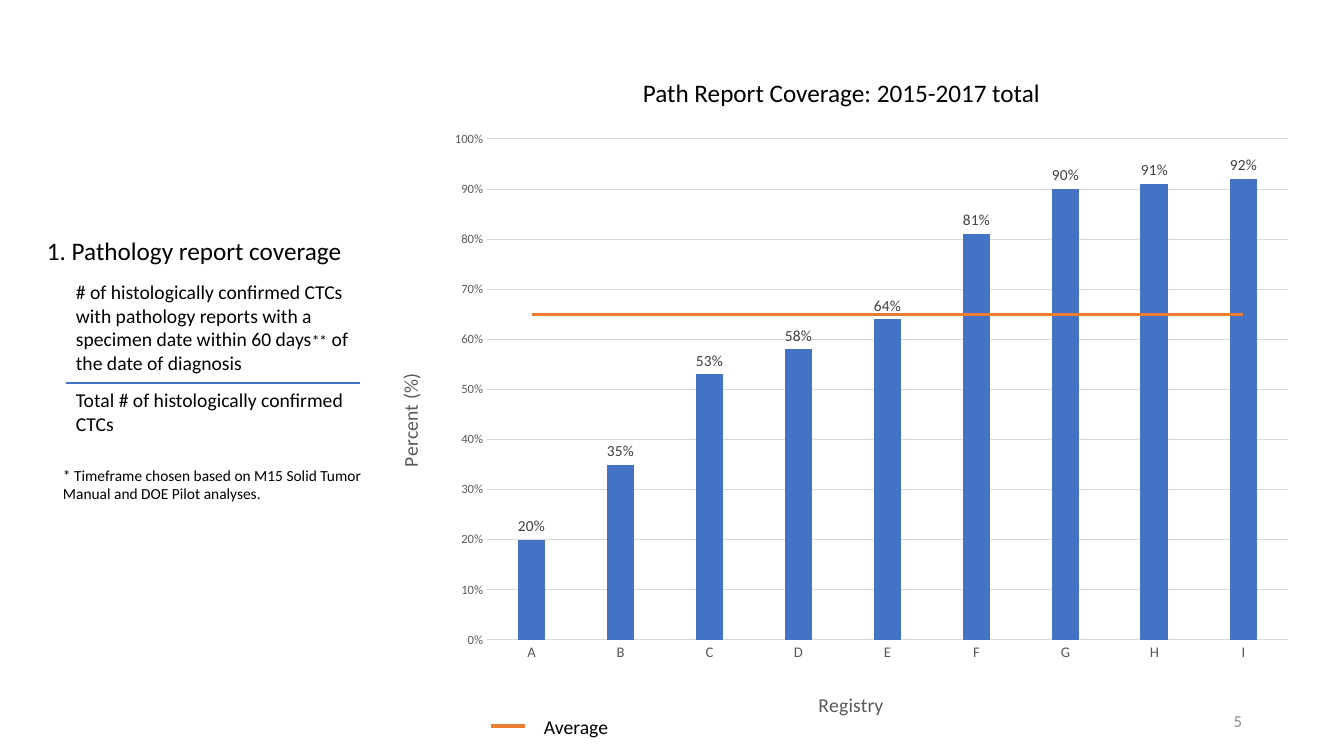
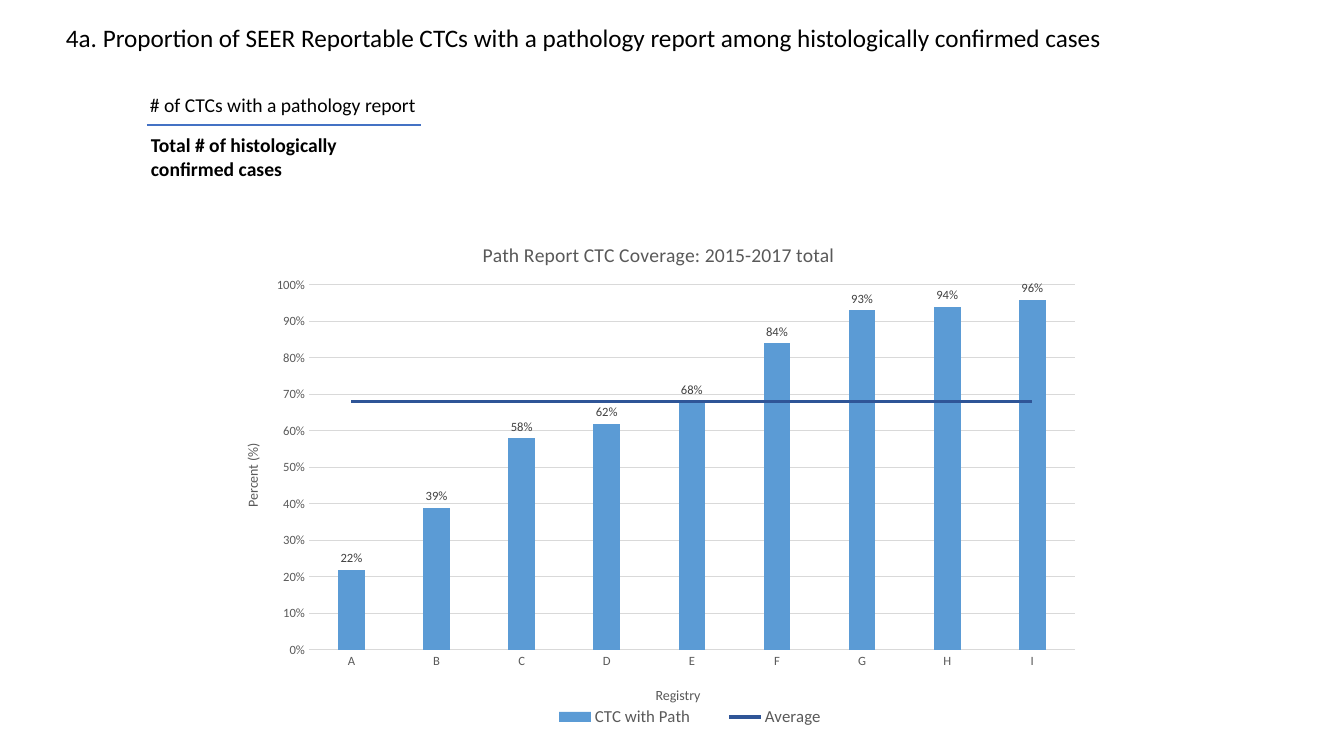
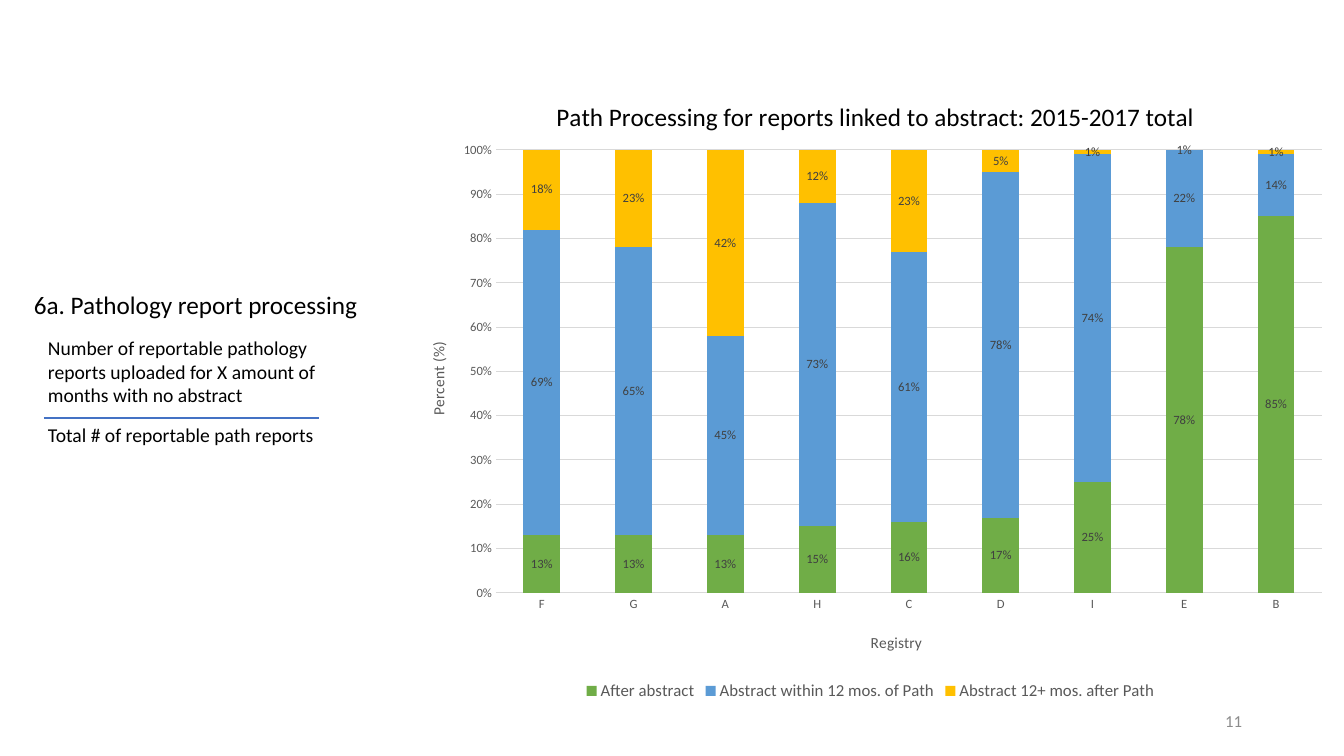
import pptx
import pptx.chart.data
import pptx.dml.color
import pptx.enum.chart
import pptx.enum.shapes
import pptx.enum.text
import pptx.oxml
import pptx.oxml.ns
import pptx.util

RGB = pptx.dml.color.RGBColor
BLACK = RGB(0x00, 0x00, 0x00)
DARK_GREY = RGB(0x40, 0x40, 0x40)
GREY = RGB(0x59, 0x59, 0x59)
PAGE_GREY = RGB(0x8C, 0x8C, 0x8C)
GRID_GREY = RGB(0xD9, 0xD9, 0xD9)
BLUE = RGB(0x44, 0x72, 0xC4)
SKY = RGB(0x5B, 0x9B, 0xD5)
NAVY = RGB(0x2F, 0x55, 0x97)
ORANGE = RGB(0xED, 0x7D, 0x31)
GREEN = RGB(0x70, 0xAD, 0x47)
GOLD = RGB(0xFF, 0xC0, 0x00)

FONT = "Calibri"
SLIDE_W, SLIDE_H = 1344, 756
SCALE = 12192000 / SLIDE_W
PERCENT = "0%"
CHART_TYPE = pptx.enum.chart.XL_CHART_TYPE
LABEL_POSITION = pptx.enum.chart.XL_LABEL_POSITION
ALIGN = pptx.enum.text.PP_ALIGN
ANCHOR = pptx.enum.text.MSO_ANCHOR
HEADING, BODY, NOTE = 18, 14, 11


def px(length):
    return pptx.util.Emu(round(length * SCALE))


def set_font(font, size, color=BLACK, bold=False):
    font.name = FONT
    font.size = pptx.util.Pt(size)
    font.color.rgb = color
    font.bold = bold


def set_line(line, color, width):
    line.color.rgb = color
    line.width = pptx.util.Pt(width)


# Text and rules

def add_text(slide, box, text, size, color=BLACK, bold=False, align=ALIGN.LEFT,
             anchor=ANCHOR.TOP):
    """Add one paragraph; text is a string or a list of (string, size) runs."""
    frame = slide.shapes.add_textbox(*map(px, box)).text_frame
    frame.word_wrap = True
    frame.vertical_anchor = anchor
    if anchor == ANCHOR.TOP:
        frame.auto_size = pptx.enum.text.MSO_AUTO_SIZE.SHAPE_TO_FIT_TEXT
    paragraph = frame.paragraphs[0]
    paragraph.alignment = align
    set_font(paragraph.font, size, color, bold)
    runs = [(text, size)] if isinstance(text, str) else text
    for words, run_size in runs:
        run = paragraph.add_run()
        run.text = words
        if run_size != size:
            run.font.size = pptx.util.Pt(run_size)


def add_rule(slide, left, right, y, color=BLUE, width=1.5):
    rule = slide.shapes.add_connector(
        pptx.enum.shapes.MSO_CONNECTOR.STRAIGHT, px(left), px(y), px(right), px(y))
    set_line(rule.line, color, width)
    rule.element.spPr.append(pptx.oxml.parse_xml(
        f'<a:effectLst {pptx.oxml.ns.nsdecls("a")}/>'))


def add_page_number(slide, number):
    add_text(slide, (950, 701, 302, 40), str(number), 12, PAGE_GREY,
             align=ALIGN.RIGHT, anchor=ANCHOR.MIDDLE)


# Charts

def place(part, frame, left, top, width=None, height=None):
    """Fix a chart part at a place given in slide px."""
    inner = part.tag == pptx.oxml.ns.qn("c:plotArea")
    values = {"x": (left - frame[0]) / frame[2], "y": (top - frame[1]) / frame[3]}
    if width:
        values.update(w=width / frame[2], h=height / frame[3])
    rows = '<c:layoutTarget val="inner"/>' if inner else ""
    rows += "".join(f'<c:{key}Mode val="edge"/>' for key in "xy")
    rows += "".join(f'<c:{key} val="{value:.4f}"/>' for key, value in values.items())
    layout = pptx.oxml.parse_xml(
        f'<c:layout {pptx.oxml.ns.nsdecls("c")}><c:manualLayout>{rows}'
        '</c:manualLayout></c:layout>')
    for old in part.xpath("c:layout"):
        part.remove(old)
    if inner:
        part.insert(0, layout)
    else:
        part.xpath("c:overlay")[0].addprevious(layout)


def set_title(title, frame, text, size, position, color=GREY):
    title.text_frame.text = text
    set_font(title.text_frame.paragraphs[0].font, size, color)
    place(title.element, frame, *position)


def style_axes(chart, frame, title_size, positions, category_size):
    category, value = chart.category_axis, chart.value_axis
    for axis, text, size, position in (
            (category, "Registry", category_size, positions[0]),
            (value, "Percent (%)", 9, positions[1])):
        axis.major_tick_mark = pptx.enum.chart.XL_TICK_MARK.NONE
        axis.minor_tick_mark = pptx.enum.chart.XL_TICK_MARK.NONE
        set_font(axis.tick_labels.font, size, GREY)
        set_title(axis.axis_title, frame, text, title_size, position)
    set_line(category.format.line, GRID_GREY, 0.75)
    value.axis_title.element.xpath(".//a:bodyPr")[0].set("rot", "-5400000")
    value.format.line.fill.background()
    value.minimum_scale, value.maximum_scale = 0, 1
    value.major_unit = 0.1
    value.tick_labels.number_format = PERCENT
    value.tick_labels.number_format_is_linked = False
    set_line(value.major_gridlines.format.line, GRID_GREY, 0.75)


def add_columns(slide, frame, plot_box, categories, series, title_size, title_positions,
                category_size=9, label_size=9, stacked=False):
    """Add a column chart; series is a list of (name, values, colour)."""
    data = pptx.chart.data.CategoryChartData(number_format=PERCENT)
    data.categories = list(categories)
    for name, values, _ in series:
        data.add_series(name, values)
    kind = CHART_TYPE.COLUMN_STACKED if stacked else CHART_TYPE.COLUMN_CLUSTERED
    chart = slide.shapes.add_chart(kind, *map(px, frame), data).chart
    set_font(chart.font, 10)
    chart.has_title = chart.has_legend = False
    columns = chart.plots[0]
    columns.vary_by_categories = False
    columns.gap_width, columns.overlap = (150, 100) if stacked else (219, -27)
    for column, (_, _, color) in zip(columns.series, series):
        column.format.fill.solid()
        column.format.fill.fore_color.rgb = color
        labels = column.data_labels
        labels.show_value = True
        labels.number_format = PERCENT
        labels.number_format_is_linked = False
        labels.position = LABEL_POSITION.CENTER if stacked else LABEL_POSITION.OUTSIDE_END
        set_font(labels.font, label_size, DARK_GREY)
    style_axes(chart, frame, title_size, title_positions, category_size)
    place(chart.element.xpath("c:chart/c:plotArea")[0], frame, *plot_box)
    return chart


def add_legend(chart):
    chart.has_legend = True
    chart.legend.position = pptx.enum.chart.XL_LEGEND_POSITION.BOTTOM
    chart.legend.include_in_layout = False
    set_font(chart.legend.font, 12, GREY)


def add_right_axis(plot_area):
    """Add a hidden second pair of axes and return their ids."""
    ids = ["5001", "5002"]
    for tag, own, other, side, limits, crosses in (
            ("catAx", *ids, "b", "", "autoZero"),
            ("valAx", *ids[::-1], "r", '<c:max val="1"/><c:min val="0"/>', "max")):
        plot_area.xpath("c:valAx")[-1].addnext(pptx.oxml.parse_xml(
            f'<c:{tag} {pptx.oxml.ns.nsdecls("c")}><c:axId val="{own}"/>'
            f'<c:scaling><c:orientation val="minMax"/>{limits}</c:scaling>'
            f'<c:delete val="1"/><c:axPos val="{side}"/>'
            f'<c:crossAx val="{other}"/><c:crosses val="{crosses}"/></c:{tag}>'))
    return ids


def turn_last_into_line(chart, color, right_axis=False):
    """Draw the last column series as a line."""
    plot_area = chart.element.xpath("c:chart/c:plotArea")[0]
    bars = plot_area.xpath("c:barChart")[0]
    average = bars.xpath("c:ser")[-1]
    for unused in average.xpath("c:spPr | c:invertIfNegative | c:dLbls"):
        average.remove(unused)
    if right_axis:
        ids, grouping = add_right_axis(plot_area), "stacked"
    else:
        ids, grouping = bars.xpath("c:axId/@val"), "standard"
    axes = "".join(f'<c:axId val="{axis_id}"/>' for axis_id in ids)
    line_chart = pptx.oxml.parse_xml(
        f'<c:lineChart {pptx.oxml.ns.nsdecls("c")}><c:grouping val="{grouping}"/>'
        f'<c:varyColors val="0"/><c:marker val="1"/>{axes}</c:lineChart>')
    line_chart.xpath("c:marker")[0].addprevious(average)
    bars.addnext(line_chart)
    line = chart.plots[1].series[0]
    line.smooth = False
    line.marker.style = pptx.enum.chart.XL_MARKER_STYLE.NONE
    set_line(line.format.line, color, 2.25)


# Slides

def build_coverage(slide):
    chart = add_columns(
        slide, (383, 119, 924, 607), (487, 139, 801, 501), "ABCDEFGHI",
        [("Path reports", (0.2, 0.35, 0.53, 0.58, 0.64, 0.81, 0.9, 0.91, 0.92), BLUE),
         ("Average", [0.65] * 9, ORANGE)],
        14, ((815, 688), (393, 370)), category_size=10.5, label_size=11)
    turn_last_into_line(chart, ORANGE, right_axis=True)
    add_text(slide, (633, 72, 561, 40), "Path Report Coverage: 2015-2017 total", HEADING)
    # Measure and its definition
    add_text(slide, (37, 230, 330, 47), "1. Pathology report coverage", HEADING)
    add_text(slide, (66, 275, 313, 105), [
        ("# of histologically confirmed CTCs with pathology reports with a "
         "specimen date within 60 days", BODY),
        ("**", NOTE), (" of the date of diagnosis", BODY)], BODY)
    add_rule(slide, 66, 360, 383)
    add_text(slide, (66, 383, 318, 39), "Total # of histologically confirmed CTCs", BODY)
    add_text(slide, (53, 461, 321, 47),
             "* Timeframe chosen based on M15 Solid Tumor Manual and DOE Pilot analyses.",
             NOTE)
    # Key to the average line
    add_rule(slide, 491, 525, 726, ORANGE, 2.5)
    add_text(slide, (534, 710, 336, 34), "Average", BODY)
    add_page_number(slide, 5)


def build_proportion(slide):
    add_text(slide, (56, 17, 1194, 40),
             "4a. Proportion of SEER Reportable CTCs with a pathology report "
             "among histologically confirmed cases", HEADING)
    # Definition
    add_text(slide, (140, 88, 288, 34), "# of CTCs with a pathology report", BODY)
    add_rule(slide, 147, 421, 125)
    add_text(slide, (141, 128, 232, 57), "Total # of histologically confirmed cases",
             BODY, bold=True)
    # Chart
    frame = (217, 217, 875, 539)
    chart = add_columns(
        slide, frame, (309, 285, 766, 365), "ABCDEFGHI",
        [("CTC with Path", (0.22, 0.39, 0.58, 0.62, 0.68, 0.84, 0.93, 0.94, 0.96), SKY),
         ("Average", [0.68] * 9, NAVY)],
        10, ((653, 684), (241, 441)))
    turn_last_into_line(chart, NAVY)
    set_title(chart.chart_title, frame, "Path Report CTC Coverage: 2015-2017 total",
              14, (479, 238))
    add_legend(chart)
    place(chart.element.xpath("c:chart/c:legend")[0], frame, 526, 700, 328, 34)


def build_processing(slide):
    # Measure and its definition
    add_text(slide, (24, 284, 517, 40), "6a. Pathology report processing", HEADING)
    add_text(slide, (38, 331, 296, 82),
             "Number of reportable pathology reports uploaded for X amount of "
             "months with no abstract", BODY)
    add_rule(slide, 44, 319, 418)
    add_text(slide, (38, 418, 303, 34), "Total # of reportable path reports", BODY)
    # Chart
    frame = (400, 72, 941, 633)
    chart = add_columns(
        slide, frame, (496, 150, 826, 443), "FGAHCDIEB",
        [("After abstract",
          (0.13, 0.13, 0.13, 0.15, 0.16, 0.17, 0.25, 0.78, 0.85), GREEN),
         ("Abstract within 12 mos. of Path",
          (0.69, 0.65, 0.45, 0.73, 0.61, 0.78, 0.74, 0.22, 0.14), SKY),
         ("Abstract 12+ mos. after Path",
          (0.18, 0.23, 0.42, 0.12, 0.23, 0.05, 0.01, 0.01, 0.01), GOLD)],
        11, ((868, 629), (425, 339)), stacked=True)
    set_title(chart.chart_title, frame,
              "Path Processing for reports linked to abstract: 2015-2017 total",
              HEADING, (552, 95), BLACK)
    add_legend(chart)
    add_page_number(slide, 11)


def main():
    deck = pptx.Presentation()
    deck.slide_width, deck.slide_height = px(SLIDE_W), px(SLIDE_H)
    blank = deck.slide_layouts[6]
    for build in (build_coverage, build_proportion, build_processing):
        build(deck.slides.add_slide(blank))
    deck.save("out.pptx")


if __name__ == "__main__":
    main()
